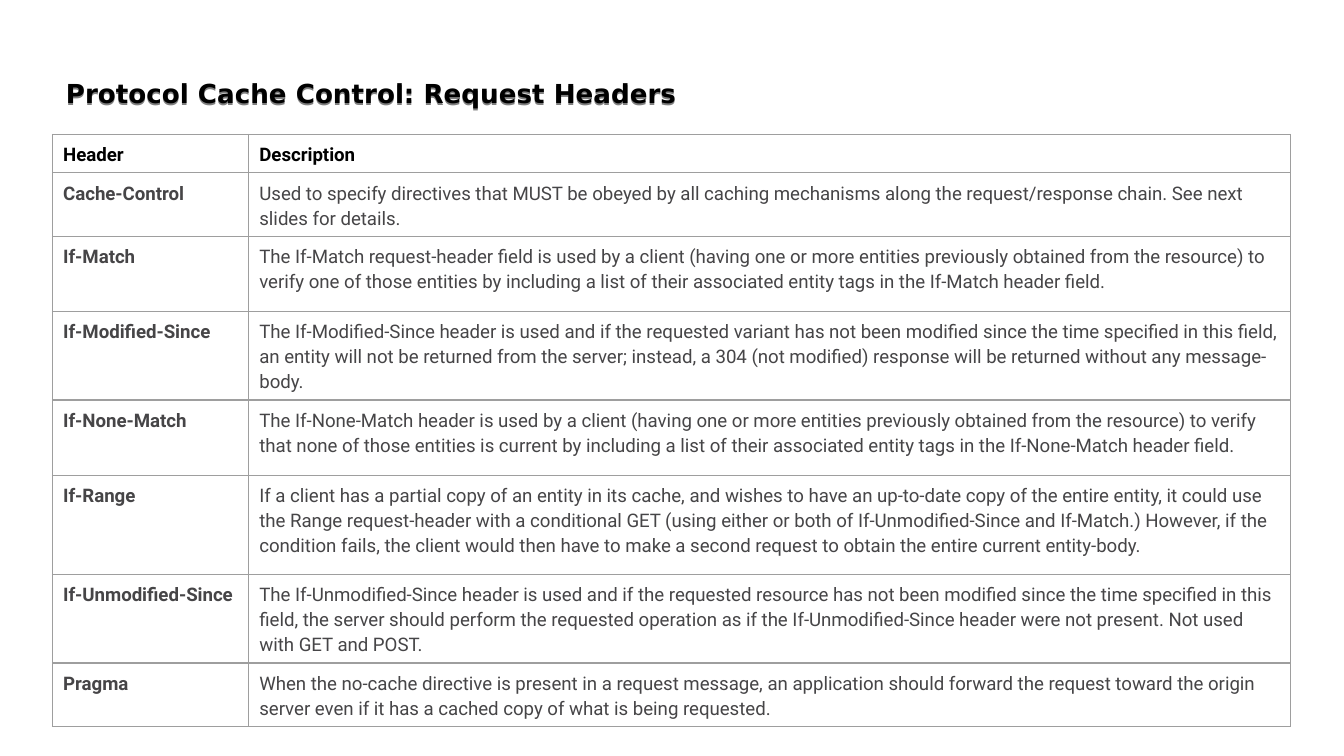
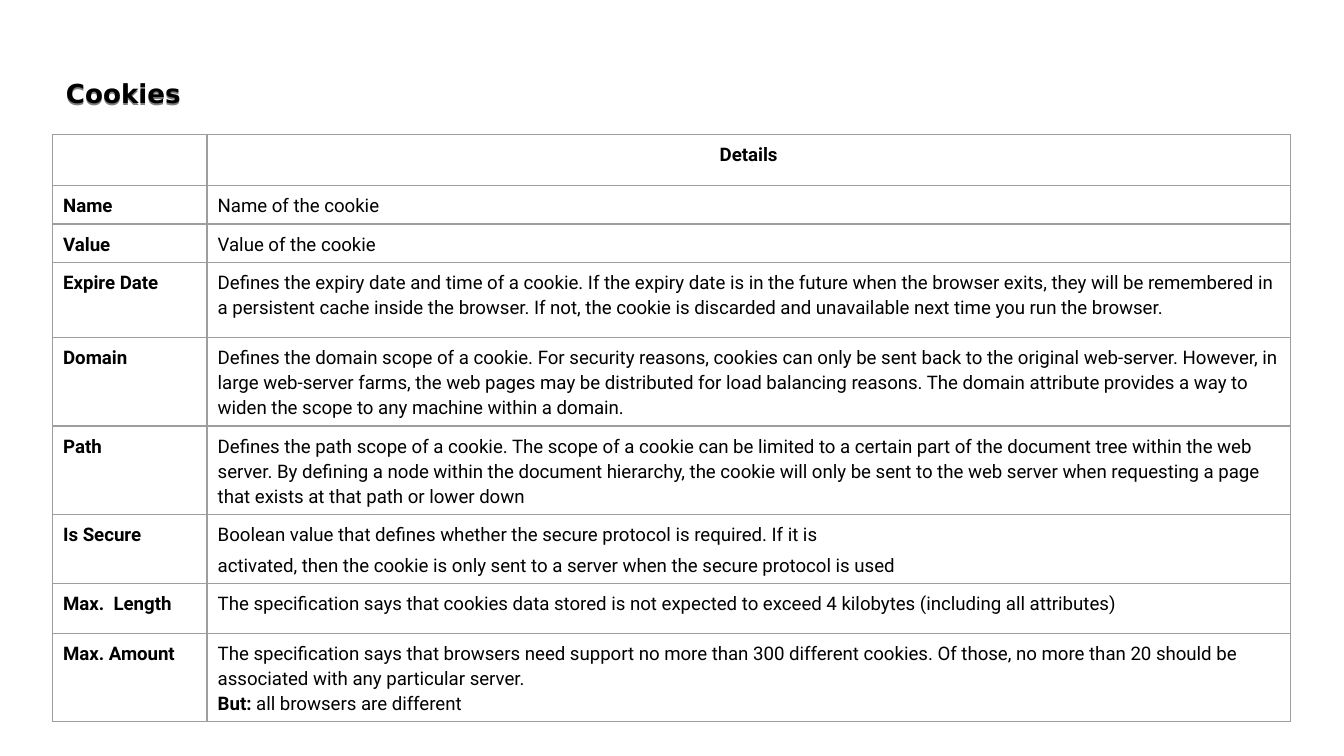
import pptx
import pptx.util
import pptx.dml.color
import pptx.enum.text
import pptx.oxml

Inches = pptx.util.Inches
Pt = pptx.util.Pt
RGBColor = pptx.dml.color.RGBColor
PP_ALIGN = pptx.enum.text.PP_ALIGN

# Shared style
BLACK = RGBColor(0x00, 0x00, 0x00)
GREY_TEXT = RGBColor(0x46, 0x45, 0x47)
BORDER = RGBColor(0x9E, 0x9E, 0x9E)
TITLE_FONT, BODY_FONT = "DejaVu Sans", "Roboto"
SLIDE_W = 10
SLIDE_H = SLIDE_W * 9 / 16
LEFT, WIDTH = 0.39, 9.21
TITLE_TOP, TITLE_H, TABLE_TOP = 0.39, 0.6, 1
TITLE_ONLY = 5
NS = 'xmlns:a="http://schemas.openxmlformats.org/drawingml/2006/main"'

# Each row: height, name, description paragraphs (text, or a list of (text, bold) runs)
REQUEST_HEADERS = [
    (0.19, "Header", [[("Description", True)]]),
    (0.37, "Cache-Control", [
        "Used to specify directives that MUST be obeyed by all caching mechanisms along the "
        "request/response chain. See next slides for details."]),
    (0.56, "If-Match", [
        "The If-Match request-header field is used by a client (having one or more entities "
        "previously obtained from the resource) to verify one of those entities by including "
        "a list of their associated entity tags in the If-Match header field."]),
    (0.56, "If-Modified-Since", [
        "The If-Modified-Since header is used and if the requested variant has not been "
        "modified since the time specified in this field, an entity will not be returned from "
        "the server; instead, a 304 (not modified) response will be returned without any "
        "message-body."]),
    (0.56, "If-None-Match", [
        "The If-None-Match header is used by a client (having one or more entities previously "
        "obtained from the resource) to verify that none of those entities is current by "
        "including a list of their associated entity tags in the If-None-Match header field."]),
    (0.74, "If-Range", [
        "If a client has a partial copy of an entity in its cache, and wishes to have an "
        "up-to-date copy of the entire entity, it could use the Range request-header with a "
        "conditional GET (using either or both of If-Unmodified-Since and If-Match.) However, "
        "if the condition fails, the client would then have to make a second request to obtain "
        "the entire current entity-body."]),
    (0.56, "If-Unmodified-Since", [
        "The If-Unmodified-Since header is used and if the requested resource has not been "
        "modified since the time specified in this field, the server should perform the "
        "requested operation as if the If-Unmodified-Since header were not present. Not used "
        "with GET and POST."]),
    (0.37, "Pragma", [
        "When the no-cache directive is present in a request message, an application should "
        "forward the request toward the origin server even if it has a cached copy of what is "
        "being requested."]),
]

COOKIE_FIELDS = [
    (0.19, "", [[("Details", True)]]),
    (0.19, "Name", ["Name of the cookie"]),
    (0.19, "Value", ["Value of the cookie"]),
    (0.56, "Expire Date", [
        "Defines the expiry date and time of a cookie. If the expiry date is in the future when "
        "the browser exits, they will be remembered in a persistent cache inside the browser. "
        "If not, the cookie is discarded and unavailable next time you run the browser."]),
    (0.56, "Domain", [
        "Defines the domain scope of a cookie. For security reasons, cookies can only be sent "
        "back to the original web-server. However, in large web-server farms, the web pages may "
        "be distributed for load balancing reasons. The domain attribute provides a way to "
        "widen the scope to any machine within a domain."]),
    (0.56, "Path", [
        "Defines the path scope of a cookie. The scope of a cookie can be limited to a certain "
        "part of the document tree within the web server. By defining a node within the "
        "document hierarchy, the cookie will only be sent to the web server when requesting a "
        "page that exists at that path or lower down"]),
    (0.41, "Is Secure", [
        "Boolean value that defines whether the secure protocol is required. If it is",
        "activated, then the cookie is only sent to a server when the secure protocol is used"]),
    (0.37, "Max.  Length", [
        "The specification says that cookies data stored is not expected to exceed 4 kilobytes "
        "(including all attributes)"]),
    (0.56, "Max. Amount", [
        "The specification says that browsers need support no more than 300 different cookies. "
        "Of those, no more than 20 should be associated with any particular server.",
        [("But: ", True), ("all browsers are different", False)]]),
]
TIGHT_ROWS = {"Header", "Max.  Length", "Max. Amount"}  # no space above the description


def add_run(p, text, font, size, color, bold):
    r = p.add_run()
    r.text = text
    r.font.name, r.font.size, r.font.bold = font, Pt(size), bold
    r.font.color.rgb = color


def add_title(s, text):
    sp = s.shapes.title
    sp.left, sp.top = Inches(LEFT), Inches(TITLE_TOP)
    sp.width, sp.height = Inches(WIDTH), Inches(TITLE_H)
    tf = sp.text_frame
    tf.word_wrap = True
    tf.auto_size = pptx.enum.text.MSO_AUTO_SIZE.NONE
    tf.vertical_anchor = pptx.enum.text.MSO_ANCHOR.MIDDLE
    tf.margin_left = tf.margin_right = tf.margin_top = tf.margin_bottom = Inches(0.1)
    p = tf.paragraphs[0]
    p.alignment = PP_ALIGN.LEFT
    add_run(p, text, TITLE_FONT, 14, BLACK, True)
    # An unfilled shape casts the shadow of its letters
    sp.fill.background()
    sp._element.spPr.append(pptx.oxml.parse_xml(
        f'<a:effectLst {NS}><a:outerShdw dist="{Pt(1.5)}" dir="5400000" algn="bl" '
        f'rotWithShape="0"><a:srgbClr val="{BLACK}"><a:alpha val="50000"/></a:srgbClr>'
        f'</a:outerShdw></a:effectLst>'))


def style_cell(cell):
    cell.margin_left = cell.margin_right = Inches(0.08)
    cell.margin_top = cell.margin_bottom = Inches(0.05)
    tc_pr = cell._tc.get_or_add_tcPr()
    for side in "LRTB":
        tc_pr.append(pptx.oxml.parse_xml(
            f'<a:ln{side} {NS} w="{Pt(0.75)}"><a:solidFill><a:srgbClr val="{BORDER}"/>'
            f'</a:solidFill></a:ln{side}>'))
    cell.fill.background()


def size_empty_cell(cell):
    cell.text_frame.paragraphs[0]._p.append(pptx.oxml.parse_xml(
        f'<a:endParaRPr {NS} sz="1800"><a:latin typeface="Arial"/></a:endParaRPr>'))


def fill_cell(cell, paragraphs, color, bold=False, align=PP_ALIGN.LEFT, space=3):
    tf = cell.text_frame
    for i, content in enumerate(paragraphs):
        p = tf.add_paragraph() if i else tf.paragraphs[0]
        p.alignment, p.line_spacing, p.space_before = align, 1.15, Pt(space)
        runs = [(content, bold)] if isinstance(content, str) else content
        for text, run_bold in runs:
            add_run(p, text, BODY_FONT, 10, color, run_bold)


def add_definition_table(s, rows, name_width, body_color, header_align):
    height = sum(row[0] for row in rows)
    table = s.shapes.add_table(len(rows), 2, Inches(LEFT), Inches(TABLE_TOP),
                               Inches(WIDTH), Inches(height)).table
    table.first_row = table.horz_banding = False
    table.columns[0].width = Inches(name_width)
    table.columns[1].width = Inches(WIDTH - name_width)
    for i, (row_height, name, description) in enumerate(rows):
        table.rows[i].height = Inches(row_height)
        name_cell, text_cell = table.cell(i, 0), table.cell(i, 1)
        style_cell(name_cell)
        style_cell(text_cell)
        color = body_color if i else BLACK
        align = PP_ALIGN.LEFT if i else header_align
        if name:
            fill_cell(name_cell, [name], color, bold=True, space=3 if i else 0)
        else:
            size_empty_cell(name_cell)
        fill_cell(text_cell, description, color, align=align,
                  space=0 if name in TIGHT_ROWS else 3)


def add_table_slide(prs, title, rows, name_width, body_color, header_align):
    s = prs.slides.add_slide(prs.slide_layouts[TITLE_ONLY])
    add_title(s, title)
    add_definition_table(s, rows, name_width, body_color, header_align)


def main():
    prs = pptx.Presentation()
    prs.slide_width, prs.slide_height = Inches(SLIDE_W), Inches(SLIDE_H)
    add_table_slide(prs, "Protocol Cache Control: Request Headers", REQUEST_HEADERS,
                    1.46, GREY_TEXT, PP_ALIGN.LEFT)
    add_table_slide(prs, "Cookies", COOKIE_FIELDS, 1.15, BLACK, PP_ALIGN.CENTER)
    prs.save("out.pptx")


if __name__ == "__main__":
    main()
